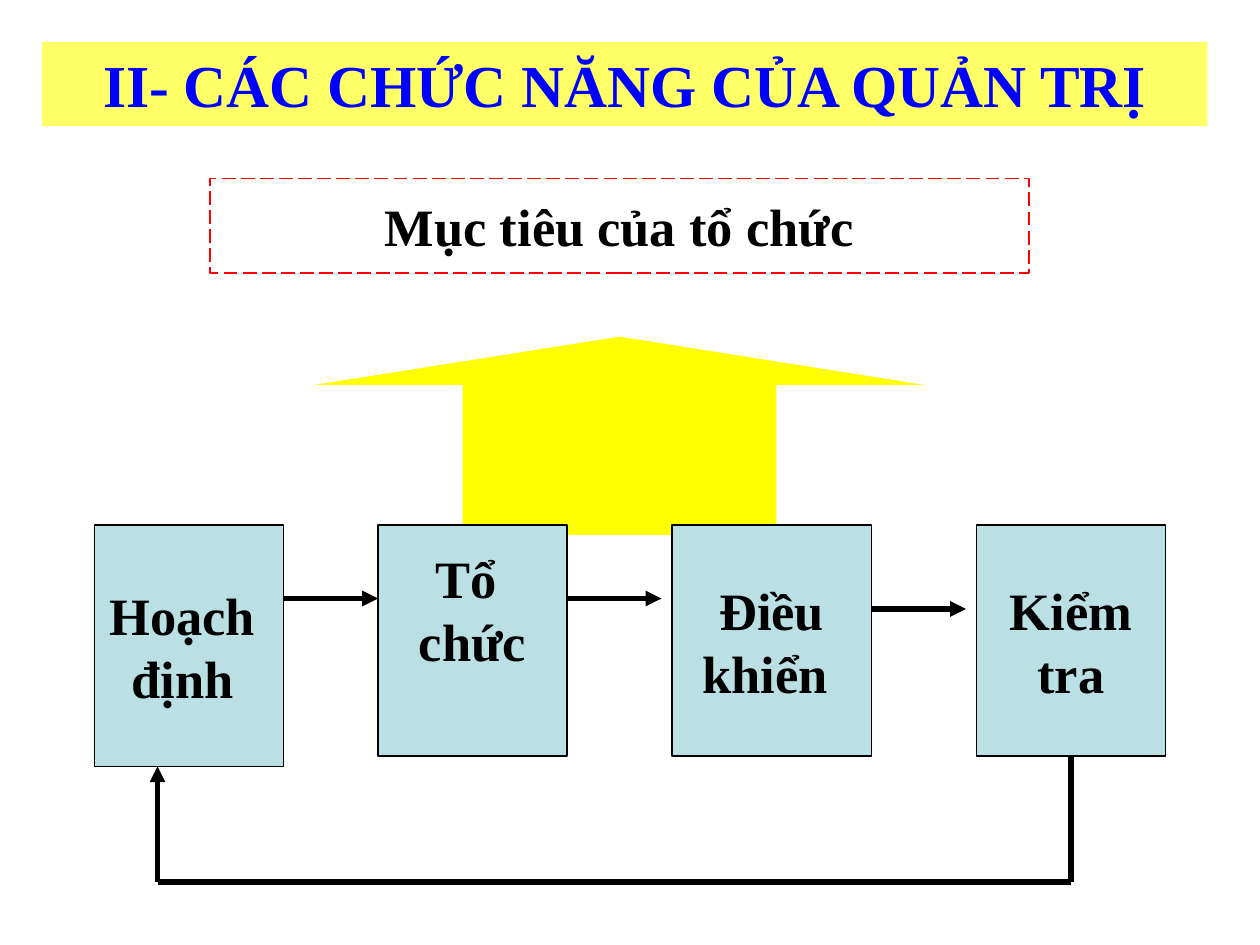
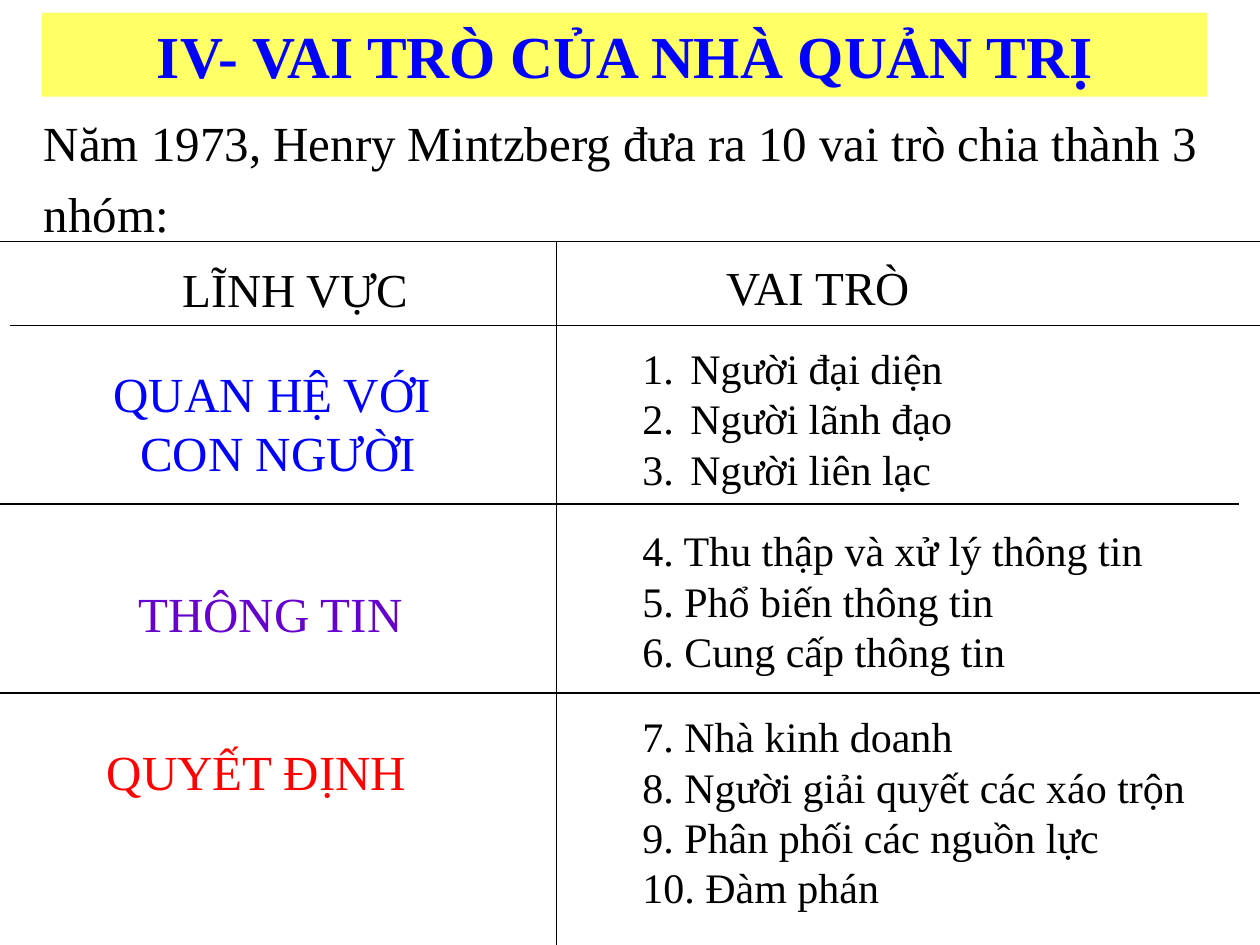
from lxml import etree
from pptx import Presentation, util as u
from pptx.dml.color import RGBColor
from pptx.enum import dml, shapes, text
from pptx.oxml import ns

COLS, ROWS = 120, 90
UNIT = u.Inches(10) / COLS
FONT = "Times New Roman"
BLACK, WHITE, BLUE, RED, PURPLE = "000000", "FFFFFF", "0000FF", "FF0000", "6600CC"
BAND, ARROW, STEP = "FFFF66", "FFFF00", "BBE0E3"
CENTER, LEFT = text.PP_ALIGN.CENTER, text.PP_ALIGN.LEFT
RECT = shapes.MSO_SHAPE.RECTANGLE
FRAME = {
    "margin_left": u.Inches(0.1),
    "margin_right": u.Inches(0.1),
    "margin_top": u.Inches(0.05),
    "margin_bottom": u.Inches(0.05),
}
STEPS = [
    (9, 18, 23, ["Hoạch ", "định "], {}),
    (36, 18, 22, ["Tổ ", "chức"], {"margin_bottom": u.Inches(0.55)}),
    (64, 19, 22, ["Điều", "khiển "], {}),
    (93, 18, 22, ["Kiểm", "tra"], {}),
]
ROLES = [
    (32, 56, ["Người đại diện", "Người lãnh đạo", "Người liên lạc"]),
    (49.4, 57, ["4. Thu thập và xử lý thông tin", "5. Phổ biến thông tin",
                "6. Cung cấp thông tin"]),
    (67.1, 60, ["7. Nhà kinh doanh", "8. Người giải quyết các xáo trộn",
                "9. Phân phối các nguồn lực", "10. Đàm phán"]),
]


def rgb(value):
    """Turn a hex string into a colour."""
    return RGBColor.from_string(value)


def grid(*cells):
    """Turn grid columns and rows into lengths."""
    return [u.Emu(round(c * UNIT)) for c in cells]


def apply(obj, values):
    """Set attributes from a dict."""
    for name, value in values.items():
        setattr(obj, name, value)


def write(sp, lines, size, color=BLACK, bold=False, frame=None, para=None):
    """Write one paragraph for each line."""
    tf = sp.text_frame
    apply(tf, {**FRAME, "word_wrap": True, **(frame or {})})
    for i, line in enumerate(lines):
        p = tf.paragraphs[0] if i == 0 else tf.add_paragraph()
        apply(p, {"alignment": LEFT, **(para or {})})
        r = p.add_run()
        r.text = line
        apply(r.font, {"name": FONT, "size": u.Pt(size), "bold": bold})
        r.font.color.rgb = rgb(color)


def block(slide, cell, fill=None, line=None, width=0.75, kind=RECT):
    """Add a preset shape on the grid."""
    sp = slide.shapes.add_shape(kind, *grid(*cell))
    sp.shadow.inherit = False
    if fill:
        sp.fill.solid()
        sp.fill.fore_color.rgb = rgb(fill)
    else:
        sp.fill.background()
    if line:
        sp.line.color.rgb = rgb(line)
        sp.line.width = u.Pt(width)
    else:
        sp.line.fill.background()
    return sp


def label(slide, cell, lines, size, color=BLACK, wrap=True, **para):
    """Add a text box on the grid."""
    sp = slide.shapes.add_textbox(*grid(*cell))
    write(sp, lines, size, color, frame={"word_wrap": wrap}, para=para)
    return sp


def line(slide, ends, width=0.75, arrow=False):
    """Draw a straight line, with an arrowhead if asked."""
    c = slide.shapes.add_connector(shapes.MSO_CONNECTOR.STRAIGHT, *grid(*ends))
    c.line.color.rgb = rgb(BLACK)
    c.line.width = u.Pt(width)
    if arrow:
        etree.SubElement(c.line._get_or_add_ln(), ns.qn("a:tailEnd"), type="triangle")
    etree.SubElement(c._element.spPr, ns.qn("a:effectLst"))
    return c


def number(sp):
    """Number the paragraphs of a text box with a hanging indent."""
    indent = u.Inches(0.38)
    for p in sp.text_frame.paragraphs:
        ppr = p._p.get_or_add_pPr()
        ppr.set("marL", str(indent))
        ppr.set("indent", str(-indent))
        etree.SubElement(ppr, ns.qn("a:buFont"), typeface=FONT)
        etree.SubElement(ppr, ns.qn("a:buAutoNum"), type="arabicPeriod")


def add_slide(prs, title, top):
    """Add a blank slide with its title band."""
    slide = prs.slides.add_slide(prs.slide_layouts[6])
    band = block(slide, (4, top, 111, 8), BAND)
    write(band, [title], 34, BLUE, True, {"vertical_anchor": text.MSO_ANCHOR.TOP},
          {"alignment": CENTER, "space_before": u.Pt(21.3)})
    return slide


def functions_slide(prs):
    """Show the four functions of management and their loop."""
    slide = add_slide(prs, "II- CÁC CHỨC NĂNG CỦA QUẢN TRỊ", 4)
    middle = {"vertical_anchor": text.MSO_ANCHOR.MIDDLE, "word_wrap": False}
    centered = {"alignment": CENTER}
    up = block(slide, (29, 32, 60, 19), ARROW, WHITE, kind=shapes.MSO_SHAPE.UP_ARROW)
    up.adjustments[0], up.adjustments[1] = 0.5, 0.25
    for left, width, height, lines, frame in STEPS:
        step = block(slide, (left, 50, width, height), STEP, BLACK)
        write(step, lines, 30, bold=True, frame={**middle, **frame}, para=centered)
    for x, y in [(27, 57), (54, 57), (83, 58)]:
        line(slide, (x, y, x + 9, y), 3, True)
    line(slide, (15, 84, 15, 73), 3, True)
    line(slide, (15, 84, 102, 84), 3)
    line(slide, (102, 72, 102, 84), 3).begin_connect(step, 2)
    goal = block(slide, (20, 17, 78, 9), line=RED, width=1)
    goal.line.dash_style = dml.MSO_LINE.LONG_DASH
    write(goal, ["Mục tiêu của tổ chức"], 30, bold=True, frame=middle, para=centered)


def roles_slide(prs):
    """List the ten roles of a manager in three fields."""
    slide = add_slide(prs, "IV- VAI TRÒ CỦA NHÀ QUẢN TRỊ", 1.2)
    label(slide, (3, 9, 114, 14.6),
          ["Năm 1973, Henry Mintzberg đưa ra 10 vai trò chia thành 3 nhóm:"], 28,
          line_spacing=1.2, space_before=u.Pt(7))
    for ends in [(0, 23, COLS, 23), (1, 31, COLS, 31), (0, 48, 118, 48),
                 (0, 66, COLS, 66), (53, 23, 53, ROWS)]:
        line(slide, ends)
    label(slide, (16.2, 24.2, 24, 6.6), ["LĨNH VỰC"], 27, wrap=False)
    label(slide, (68, 24, 20.5, 6.6), ["VAI TRÒ"], 27, wrap=False)
    label(slide, (3, 34, 47, 12.5), ["QUAN HỆ VỚI ", "CON NGƯỜI"], 28, BLUE,
          alignment=CENTER)
    label(slide, (12, 55, 27.6, 6.8), ["THÔNG TIN"], 28, PURPLE, wrap=False)
    label(slide, (9, 70, 36, 6.8), ["QUYẾT ĐỊNH"], 28, RED)
    lists = [label(slide, (60, top, width, 5 * len(lines)), lines, 24)
             for top, width, lines in ROLES]
    number(lists[0])


def main():
    """Build and save the slides."""
    prs = Presentation()
    prs.slide_width, prs.slide_height = grid(COLS, ROWS)
    functions_slide(prs)
    roles_slide(prs)
    prs.save("out.pptx")


if __name__ == "__main__":
    main()
